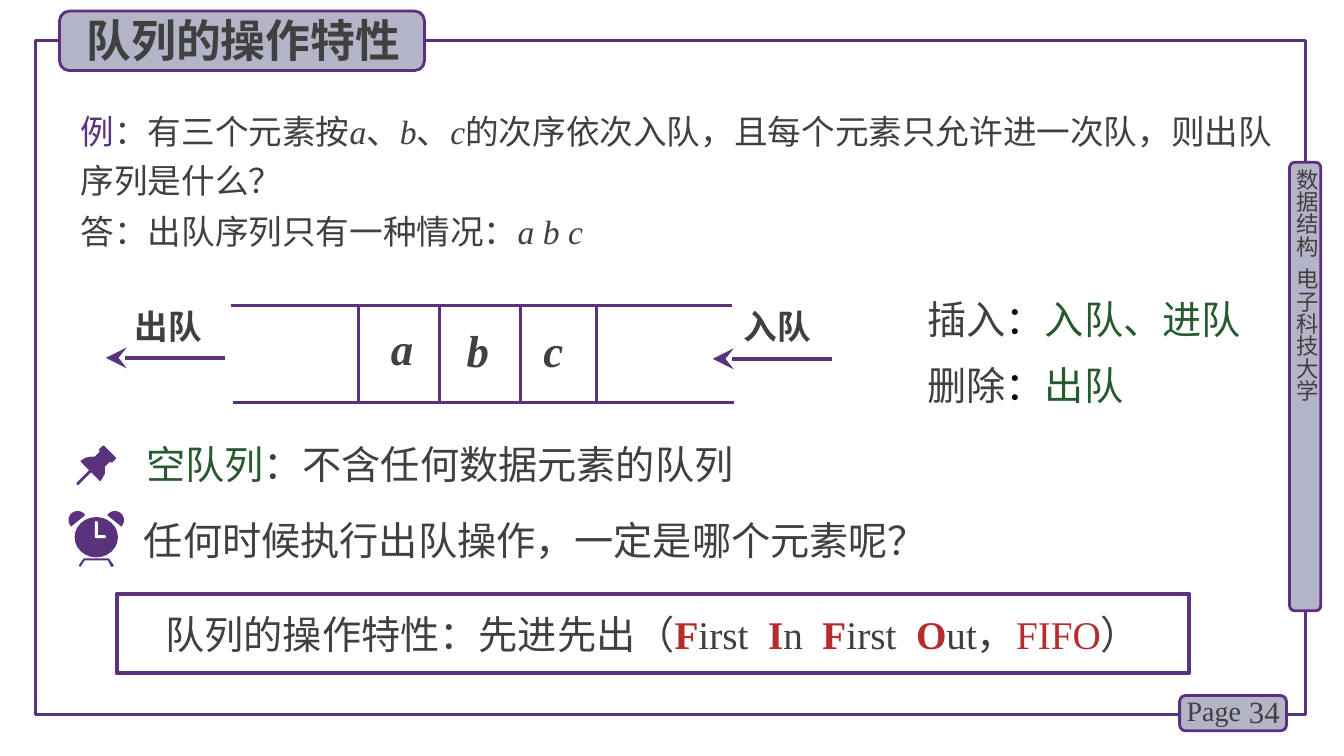
import math

from lxml import etree
from pptx import Presentation
from pptx import util as u
from pptx.dml.color import RGBColor
from pptx.enum import shapes, text
from pptx.oxml import ns

PX = 9144
PURPLE, EDGE, GREY, DARK = "5A327D", "5C307D", "B4B4C8", "404040"
GREEN, RED, BLACK, WHITE = "285A32", "B42D2D", "000000", "FFFFFF"
SANS, SERIF = "Noto Sans CJK SC", "Times New Roman"


def rgb(value):
    return RGBColor.from_string(value)


class QueueSlide:
    """Draws the elements of one slide in a shared style, with lengths in px of 1/100 inch."""

    def __init__(self, presentation):
        self.slide = presentation.slides.add_slide(presentation.slide_layouts[1])
        self.shapes = self.slide.shapes

    def paint(self, shape, fill=None, line=None, width=2):
        shape.shadow.inherit = False
        if fill:
            shape.fill.solid()
            shape.fill.fore_color.rgb = rgb(fill)
        else:
            shape.fill.background()
        if line:
            shape.line.color.rgb = rgb(line)
            shape.line.width = u.Pt(width)
        else:
            shape.line.fill.background()
        return shape

    def box(self, kind, at, fill=None, line=None, width=2):
        shape = self.shapes.add_shape(kind, *[n * PX for n in at])
        return self.paint(shape, fill, line, width)

    def outline(self, points, fill=PURPLE):
        corners = [(x * PX, y * PX) for x, y in points]
        builder = self.shapes.build_freeform(*corners[0], scale=1.0)
        builder.add_line_segments(corners[1:], close=True)
        return self.paint(builder.convert_to_shape(), fill)

    def line(self, start, end, width=2.25, color=EDGE, arrow=False):
        ends = [n * PX for n in (*start, *end)]
        connector = self.shapes.add_connector(shapes.MSO_CONNECTOR.STRAIGHT, *ends)
        connector.line.color.rgb = rgb(color)
        connector.line.width = u.Pt(width)
        if arrow:
            etree.SubElement(connector.line._get_or_add_ln(), ns.qn("a:tailEnd"),
                             type="stealth", w="lg", len="lg")
        etree.SubElement(connector._element.spPr, ns.qn("a:effectLst"))

    def set_runs(self, paragraph, runs, size, font=SANS, bold=None, italic=None,
                 align=text.PP_ALIGN.LEFT):
        paragraph.alignment = align
        paragraph.font.size = u.Pt(size)
        paragraph.font.name = font
        paragraph.font.bold = bold
        paragraph.font.italic = italic
        paragraph.font.color.rgb = rgb(DARK)
        properties = paragraph._p.pPr.find(ns.qn("a:defRPr"))
        etree.SubElement(properties, ns.qn("a:ea"), typeface=SANS)
        for words, color, style in runs:
            run = paragraph.add_run()
            run.text = words
            if color != DARK:
                run.font.color.rgb = rgb(color)
            if style == "b":
                run.font.bold = True
            elif style == "i":
                run.font.italic = True

    def label(self, at, runs, size, anchor=text.MSO_ANCHOR.TOP, **style):
        shape = self.shapes.add_textbox(*[n * PX for n in at])
        shape.text_frame.word_wrap = True
        shape.text_frame.vertical_anchor = anchor
        self.set_runs(shape.text_frame.paragraphs[0], runs, size, **style)
        return shape

    def placeholder(self, index, at, paragraphs, size, anchor, spacing=None, **style):
        shape = self.slide.placeholders[index]
        shape.left, shape.top, shape.width, shape.height = [n * PX for n in at]
        self.shapes._spTree.append(shape._element)
        frame = shape.text_frame
        frame.auto_size = text.MSO_AUTO_SIZE.NONE
        frame.word_wrap = True
        frame.vertical_anchor = anchor
        for number, runs in enumerate(paragraphs):
            paragraph = frame.add_paragraph() if number else frame.paragraphs[0]
            paragraph.space_before = u.Pt(2 * number)
            paragraph.line_spacing = u.Pt(spacing) if spacing else 1.0
            properties = paragraph._p.get_or_add_pPr()
            properties.set("marL", "0")
            properties.set("indent", "0")
            etree.SubElement(properties, ns.qn("a:buNone"))
            self.set_runs(paragraph, runs, size, **style)


def plain(words):
    return [(words, DARK, "")]


def draw_frame(page):
    rounded = shapes.MSO_SHAPE.ROUNDED_RECTANGLE
    middle, center = text.MSO_ANCHOR.MIDDLE, text.PP_ALIGN.CENTER
    page.box(shapes.MSO_SHAPE.RECTANGLE, (35, 40, 1260, 669), line=PURPLE, width=2.25)
    for at in [(1279, 161, 31, 445), (1170, 690, 106, 35), (59, 11, 362, 59)]:
        page.box(rounded, at, GREY, EDGE)
    course = page.label((1283, 167, 27, 449), plain("数据结构  电子科技大学"), 16, middle)
    frame = course.text_frame
    frame.margin_left = frame.margin_right = frame.margin_top = frame.margin_bottom = 0
    frame._txBody.bodyPr.set("vert", "eaVert")
    page.label((1220, 686, 59, 40), plain("34"), 22, middle, font=SERIF,
               align=text.PP_ALIGN.RIGHT)
    page.label((1167, 683, 78, 44), plain("Page"), 20, font=SERIF)
    page.placeholder(0, (68, 7, 347, 64), [plain("队列的操作特性")], 32, middle,
                     bold=True, align=center)


def draw_question(page):
    question = [("例", PURPLE, ""), ("：有三个元素按", DARK, ""), ("a", DARK, "i"),
                ("、", DARK, ""), ("b", DARK, "i"), ("、", DARK, ""), ("c", DARK, "i"),
                ("的次序依次入队，且每个元素只允许进一次队，则出队序列是什么？", DARK, "")]
    answer = [("答：出队序列只有一种情况：", DARK, ""), ("a b c", DARK, "i")]
    page.placeholder(1, (70, 96, 1211, 159), [question, answer], 24,
                     text.MSO_ANCHOR.TOP, spacing=35, font=SERIF)


def draw_queue(page):
    for left, top in [(229, 303), (231, 399)]:
        page.line((left, top), (left + 497, top))
    for x in (356, 436, 516, 592):
        page.line((x, 303), (x, 399))
    for letter, x, y in [("a", 378, 313), ("b", 453, 315), ("c", 529, 315)]:
        page.label((x, y, 64, 64), plain(letter), 32, font=SERIF, bold=True, italic=True)
    for name, x, tip, y in [("出队", 124, 105, 355), ("入队", 728, 707, 356)]:
        page.line((tip + 118, y), (tip, y), 3, PURPLE, arrow=True)
        page.label((x, 299, 103, 50), plain(name), 24, font=SERIF, bold=True)
    for name, meaning, y in [("插入", "入队、进队", 288), ("删除", "出队", 354)]:
        runs = [(name, DARK, ""), ("：", BLACK, ""), (meaning, GREEN, "")]
        page.label((910, y, 379, 57), runs, 28)


def draw_pin(page):
    page.outline([(102, 442), (103, 442), (115, 454), (115, 455), (111, 459), (109, 458),
                  (104, 463), (104, 470), (100, 477), (99, 477), (80, 458), (80, 457),
                  (85, 454), (90, 453), (94, 453), (99, 448), (98, 446)])
    page.outline([(76, 479), (89, 466), (91, 466), (91, 468), (78, 481), (76, 481)])


def draw_clock(page):
    arc = [math.radians(angle) for angle in range(135, 329, 8)]
    for center, side in [(77, 1), (114, -1)]:
        page.outline([(center + side * 9 * math.cos(a), 516 + 9 * math.sin(a)) for a in arc])
    page.box(shapes.MSO_SHAPE.OVAL, (74, 513, 43, 40), PURPLE)
    page.outline([(94, 518), (95, 517), (96, 517), (97, 518), (97, 531), (104, 531),
                  (105, 532), (105, 533), (104, 534), (95, 534), (94, 533)], WHITE)
    page.outline([(83, 554), (108, 554), (113, 561), (112, 562), (110, 562), (107, 556),
                  (84, 556), (80, 562), (79, 562), (78, 561)])


def draw_notes(page):
    draw_pin(page)
    page.label((135, 432, 889, 57),
               [("空队列", GREEN, ""), ("：不含任何数据元素的队列", DARK, "")], 28)
    draw_clock(page)
    page.label((133, 500, 843, 71), plain("任何时候执行出队操作，一定是哪个元素呢？"), 28,
               text.MSO_ANCHOR.MIDDLE)
    rule = page.box(shapes.MSO_SHAPE.RECTANGLE, (116, 589, 1063, 79), line=PURPLE, width=3)
    runs = plain("队列的操作特性：先进先出（")
    for initial, rest in [("F", "irst  "), ("I", "n  "), ("F", "irst  "), ("O", "ut，")]:
        runs += [(initial, RED, "b"), (rest, DARK, "")]
    runs += [("FIFO", RED, ""), ("）", DARK, "")]
    rule.text_frame.vertical_anchor = text.MSO_ANCHOR.MIDDLE
    page.set_runs(rule.text_frame.paragraphs[0], runs, 28, SERIF, align=text.PP_ALIGN.CENTER)


def main():
    presentation = Presentation()
    presentation.slide_width, presentation.slide_height = 1333 * PX, 750 * PX
    page = QueueSlide(presentation)
    draw_frame(page)
    draw_question(page)
    draw_queue(page)
    draw_notes(page)
    presentation.save("out.pptx")


if __name__ == "__main__":
    main()
